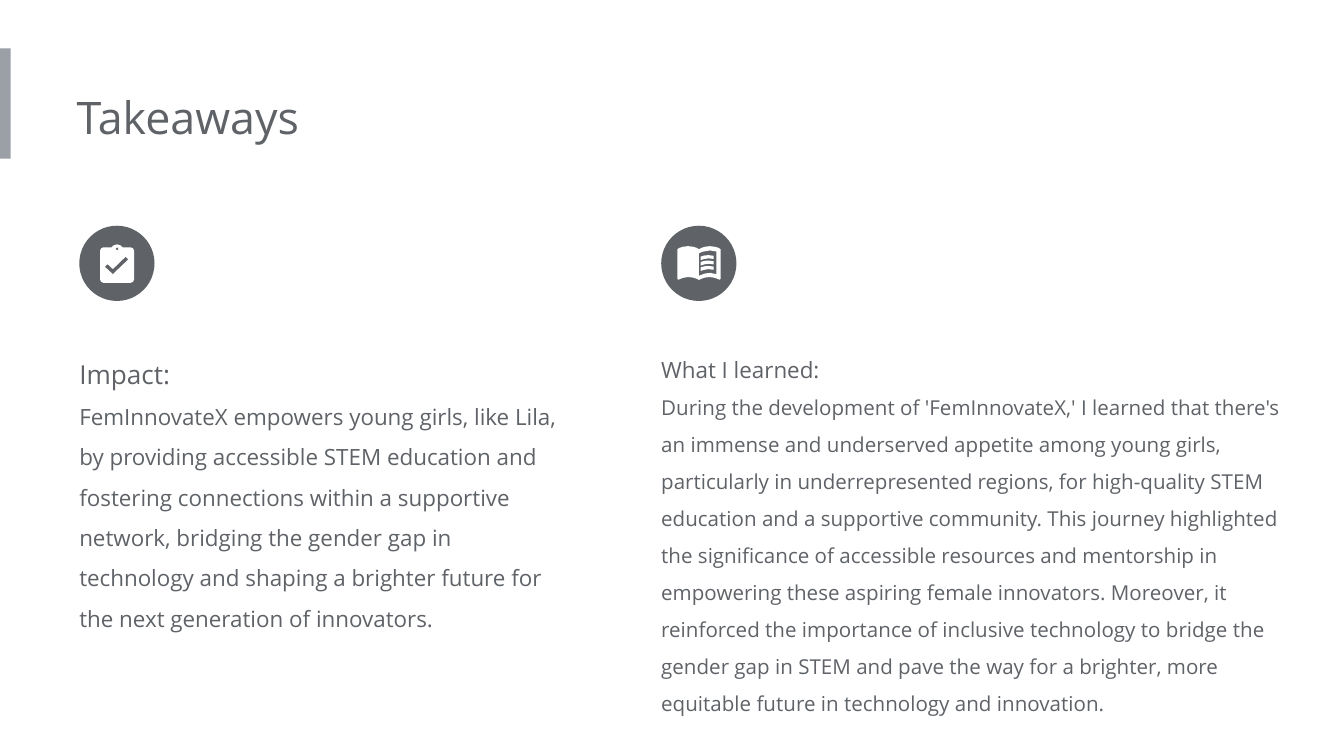
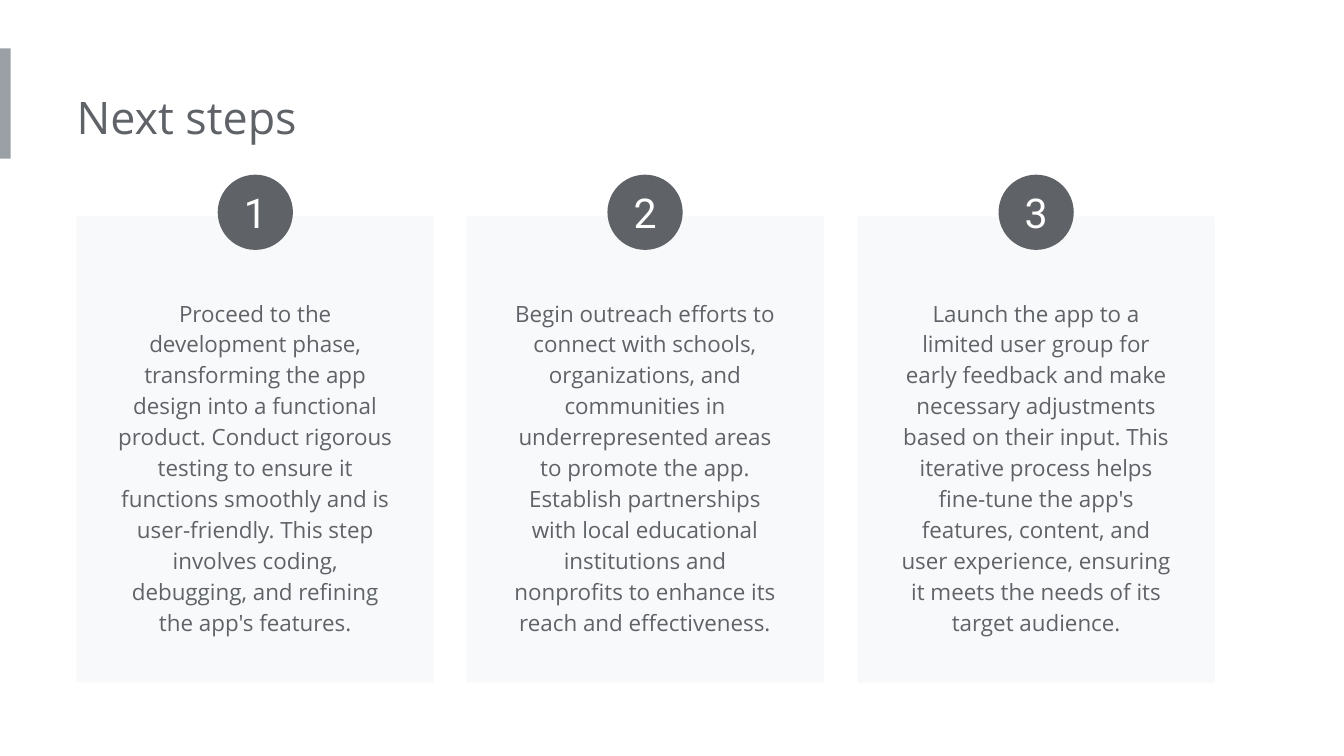
from dataclasses import dataclass

from pptx import Presentation
from pptx.dml.color import RGBColor
from pptx.enum.shapes import MSO_SHAPE as Preset
from pptx.enum.text import MSO_ANCHOR as Anchor, MSO_AUTO_SIZE as AutoSize, PP_ALIGN as Align
from pptx.util import Emu, Pt

PX = 9144  # 100 px to the inch
ICON_UNIT = PX / 10  # icons are drawn on a ten times finer grid


@dataclass(frozen=True)
class Theme:
    ink: str = "5F6368"
    accent: str = "9AA0A6"
    card: str = "F8F9FA"
    white: str = "FFFFFF"
    text_font: str = "Open Sans"
    number_font: str = "Roboto"
    title_size: int = 24
    number_size: int = 22
    large_size: int = 14
    body_size: int = 12
    small_size: int = 11


theme = Theme()
DISC = 56


def paint(shape, color):
    shape.shadow.inherit = False
    shape.fill.solid()
    shape.fill.fore_color.rgb = RGBColor.from_string(color)
    shape.line.fill.background()
    return shape


def write(shape, lines, color=theme.ink, font=theme.text_font, margins=(0, 10, 10, 10),
          paragraph_format=None, frame_format=None):
    """Fill a shape with (text, size) lines, one paragraph each."""
    frame = shape.text_frame
    frame_values = {"word_wrap": True, "auto_size": AutoSize.SHAPE_TO_FIT_TEXT,
                    "vertical_anchor": Anchor.TOP}
    for side, margin in zip(("left", "top", "right", "bottom"), margins):
        frame_values[f"margin_{side}"] = Emu(margin * PX)
    for name, value in (frame_values | (frame_format or {})).items():
        setattr(frame, name, value)
    for index, (text, size) in enumerate(lines):
        paragraph = frame.add_paragraph() if index else frame.paragraphs[0]
        for name, value in (paragraph_format or {}).items():
            setattr(paragraph, name, value)
        run = paragraph.add_run()
        run.text = text
        run.font.name = font
        run.font.size = Pt(size)
        run.font.color.rgb = RGBColor.from_string(color)


# A 16:9 page, 10 inches wide
presentation = Presentation()
presentation.slide_width = Emu(1000 * PX)
presentation.slide_height = Emu(1000 * PX * 9 // 16)

# Shared accent bar and title
slides = []
for title in ("Takeaways", "Next steps"):
    slide = presentation.slides.add_slide(presentation.slide_layouts[6])
    bar = slide.shapes.add_shape(Preset.RECTANGLE, 0, 36 * PX, 8 * PX, 82 * PX)
    paint(bar, theme.accent)
    title_box = slide.shapes.add_textbox(57 * PX, 57 * PX, 539 * PX, 61 * PX)
    write(title_box, [(title, theme.title_size)])
    slides.append(slide)
takeaways, next_steps = slides

# Icons: each shape is a list of outlines, measured from the corner of its disc
clipboard = [
    [(154, 187), (162, 168), (180, 160), (240, 160), (255, 146), (281, 138), (307, 146),
     (322, 160), (382, 160), (400, 168), (408, 187), (408, 398), (400, 417), (382, 425),
     (180, 425), (162, 417), (154, 398)],
    [(281, 160), (293, 172), (281, 184), (269, 172)],
    [(250, 360), (190, 305), (210, 285), (250, 322), (345, 230), (365, 250)],
]
book = [
    [(120, 175), (135, 165), (160, 157), (200, 152), (240, 157), (265, 165), (281, 175),
     (300, 165), (325, 157), (362, 152), (400, 157), (428, 165), (442, 175), (442, 395),
     (436, 402), (425, 398), (400, 388), (362, 382), (325, 386), (300, 394), (281, 403),
     (262, 394), (237, 386), (200, 382), (162, 388), (137, 398), (126, 402), (120, 395)],
    [(281, 205), (310, 193), (362, 184), (410, 192), (410, 360), (362, 351), (325, 356),
     (281, 372)],
]
text_line = [(294, 230), (320, 222), (352, 219), (390, 224), (390, 248), (352, 243),
             (320, 248), (294, 256)]
text_lines = [[[(x, y + step) for x, y in text_line]] for step in (0, 40, 80)]

# Takeaways: two columns, each with an icon above its text
columns = [
    (59, 377, 237, [clipboard], [
        ("Impact:", theme.large_size),
        ("FemInnovateX empowers young girls, like Lila, by providing accessible STEM "
         "education and fostering connections within a supportive network, bridging the "
         "gender gap in technology and shaping a brighter future for the next generation "
         "of innovators.", theme.body_size),
    ]),
    (492, 484, 300, [book, *text_lines], [
        ("What I learned:", theme.body_size),
        ("During the development of 'FemInnovateX,' I learned that there's an immense and "
         "underserved appetite among young girls, particularly in underrepresented regions, "
         "for high-quality STEM education and a supportive community. This journey "
         "highlighted the significance of accessible resources and mentorship in empowering "
         "these aspiring female innovators. Moreover, it reinforced the importance of "
         "inclusive technology to bridge the gender gap in STEM and pave the way for a "
         "brighter, more equitable future in technology and innovation.", theme.small_size),
    ]),
]
disc_top = 168
for left, width, height, icon, lines in columns:
    text_box = takeaways.shapes.add_textbox(left * PX, 245 * PX, width * PX, height * PX)
    write(text_box, lines, paragraph_format={"line_spacing": 1.5})
    disc = takeaways.shapes.add_shape(Preset.OVAL, left * PX, disc_top * PX, DISC * PX, DISC * PX)
    paint(disc, theme.ink)
    for outlines in icon:
        builder = takeaways.shapes.build_freeform(*outlines[0][0], scale=ICON_UNIT)
        builder.add_line_segments(outlines[0][1:], close=True)
        for hole in outlines[1:]:
            builder.move_to(*hole[0])
            builder.add_line_segments(hole[1:], close=True)
        paint(builder.convert_to_shape(left * PX, disc_top * PX), theme.white)

# Next steps: three numbered cards
steps = [
    "Proceed to the development phase, transforming the app design into a functional "
    "product. Conduct rigorous testing to ensure it functions smoothly and is "
    "user-friendly. This step involves coding, debugging, and refining the app's features.",
    "Begin outreach efforts to connect with schools, organizations, and communities in "
    "underrepresented areas to promote the app. Establish partnerships with local "
    "educational institutions and nonprofits to enhance its reach and effectiveness.",
    "Launch the app to a limited user group for early feedback and make necessary "
    "adjustments based on their input. This iterative process helps fine-tune the app's "
    "features, content, and user experience, ensuring it meets the needs of its target "
    "audience.",
]
card_width, text_width = 266, 224
first_left, last_left = 57, 638
for index, step in enumerate(steps):
    left = first_left + (last_left - first_left) * index // (len(steps) - 1)
    card = next_steps.shapes.add_shape(
        Preset.RECTANGLE, left * PX, 161 * PX, card_width * PX, 347 * PX)
    paint(card, theme.card)

    text_left = left + (card_width - text_width) // 2
    text_box = next_steps.shapes.add_textbox(
        text_left * PX, 210 * PX, text_width * PX, 276 * PX)
    write(text_box, [(step, theme.body_size)], margins=(10, 10, 10, 10),
          paragraph_format={"alignment": Align.CENTER, "line_spacing": 1.15})

    disc_left = left + (card_width - DISC) // 2
    disc = next_steps.shapes.add_shape(
        Preset.OVAL, disc_left * PX, 130 * PX, DISC * PX, DISC * PX)
    paint(disc, theme.ink)
    write(disc, [(str(index + 1), theme.number_size)], theme.white, theme.number_font,
          margins=(0, 0, 0, 0), paragraph_format={"alignment": Align.CENTER},
          frame_format={"auto_size": AutoSize.NONE, "vertical_anchor": Anchor.MIDDLE})

presentation.save("out.pptx")
